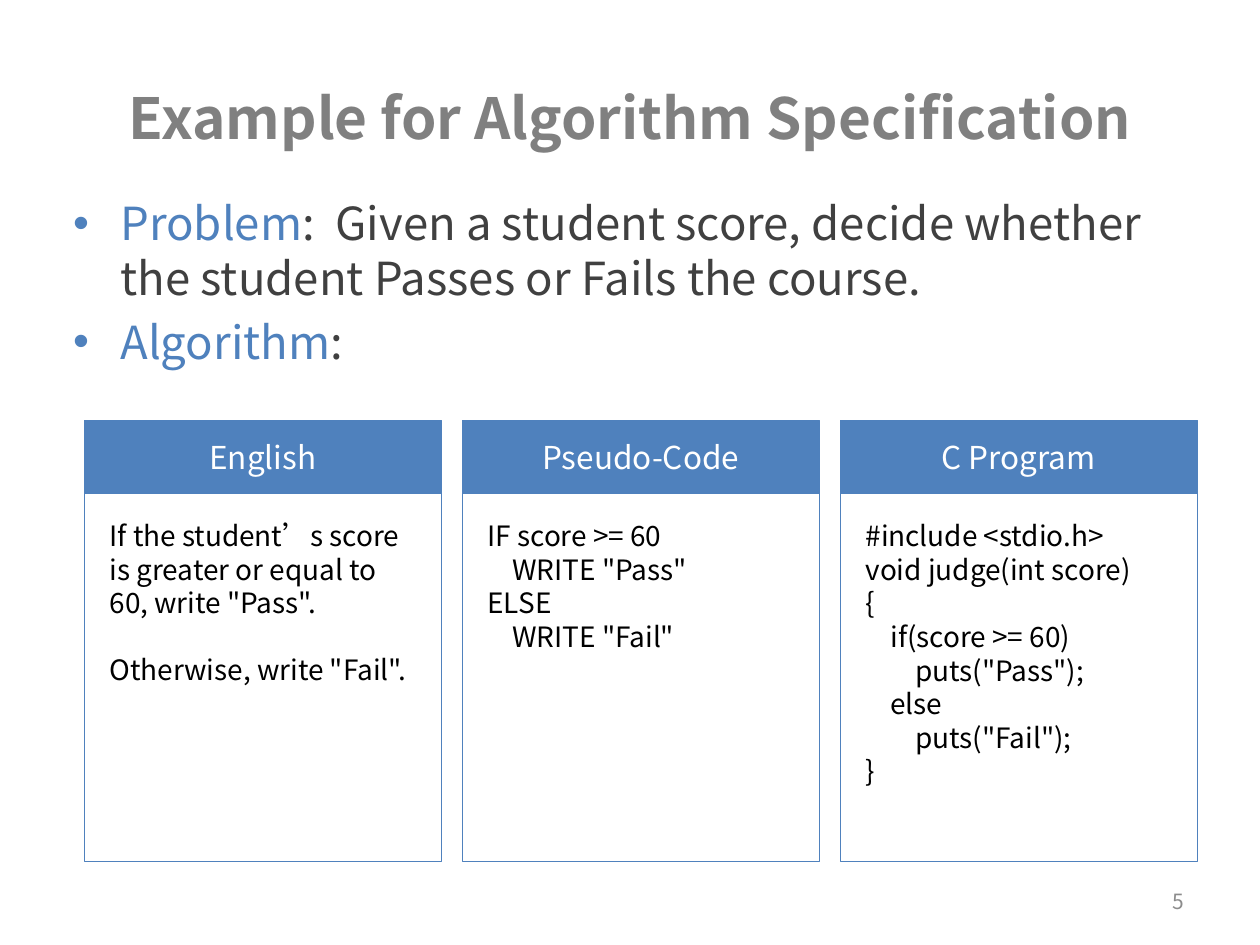
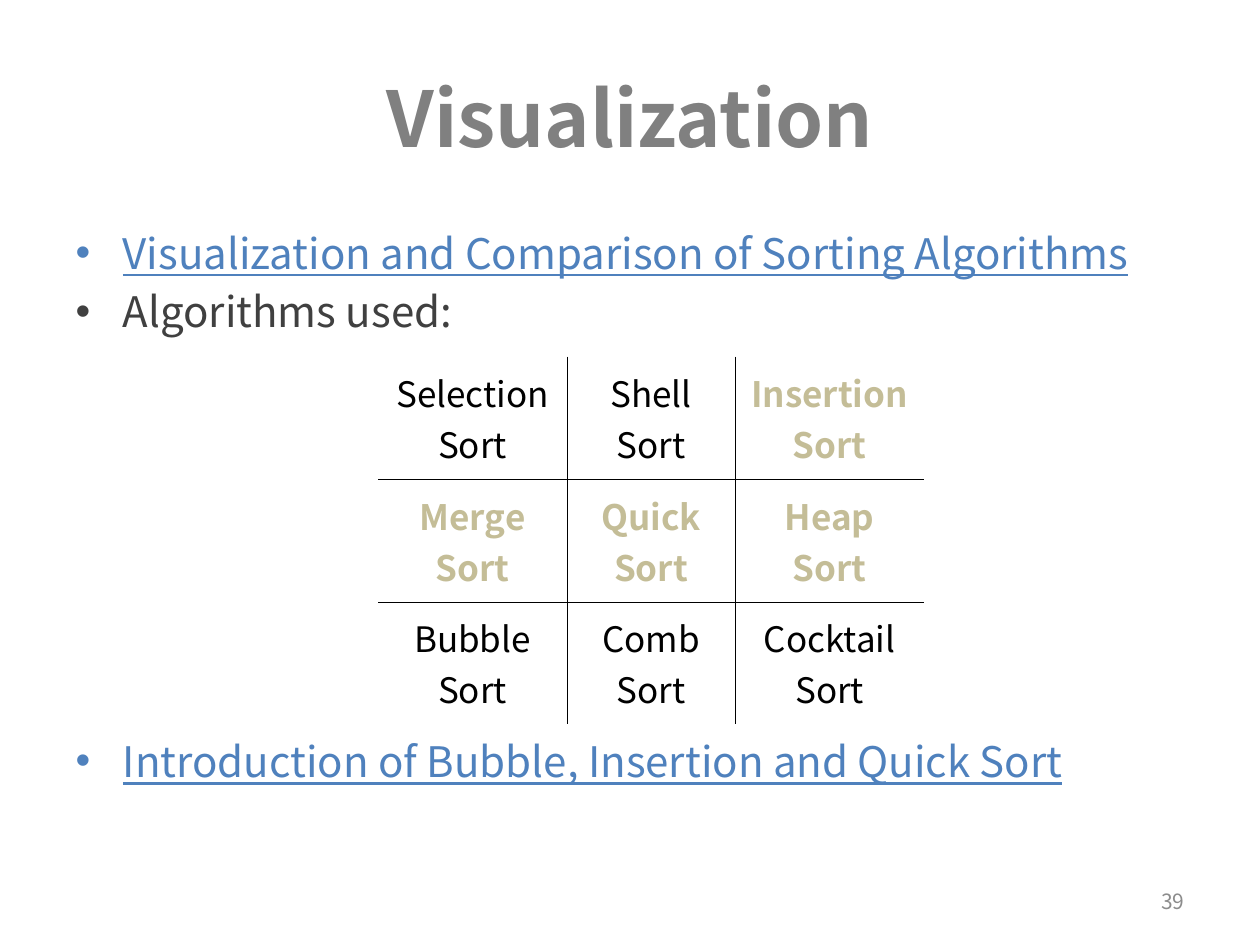
"""Build two slides on algorithm specification and sorting visualization."""
import pptx
import pptx.dml.color
import pptx.enum.shapes
import pptx.enum.text
import pptx.oxml
import pptx.oxml.ns
import pptx.util
from pptx.util import Cm

FONT = "Noto Sans CJK SC"
BLUE, GREY, DARK, TAN = "4F81BD", "808080", "404040", "C4BD97"
BLACK, WHITE, NUMBER = "000000", "FFFFFF", "8C8C8C"
NO_STYLE = "{2D5ABB26-0587-4C30-8999-92F81FD0307C}"
ALIGN = pptx.enum.text.PP_ALIGN
MIDDLE = pptx.enum.text.MSO_ANCHOR.MIDDLE

SPECIFICATION = {
    "title": "Example for Algorithm Specification", "title_size": 32.4, "number": "5",
    "place": (1.22, 3.81, 22.86, 4.24), "size": 26,
    "bullets": [
        {"spans": [("Problem", BLUE),
                   (":  Given a student score, decide whether the student Passes or Fails the course.",
                    DARK)]},
        {"spans": [("Algorithm", BLUE), (":", DARK)]},
    ],
}
VISUALIZATION = {
    "title": "Visualization", "title_size": 44, "number": "39",
    "place": (1.27, 4.45, 22.86, 12.57), "size": 24,
    "bullets": [
        {"spans": [("Visualization and Comparison of Sorting Algorithms", BLUE)], "underline": True},
        {"spans": [("Algorithms used:", DARK)]},
        {"spans": [("Introduction of Bubble, Insertion and Quick Sort", BLUE)],
         "underline": True, "before": 228},
    ],
}
PANELS = [
    ("English", [{"text": "If the student’s score is greater or equal to 60, write \"Pass\"."},
                 {"text": "Otherwise, write \"Fail\".", "before": 19}]),
    ("Pseudo-Code", [{"text": "IF score >= 60"}, {"text": "WRITE \"Pass\"", "level": 1},
                     {"text": "ELSE"}, {"text": "WRITE \"Fail\"", "level": 1}]),
    ("C Program", [{"text": "#include <stdio.h>"}, {"text": "void judge(int score)"},
                   {"text": "{"}, {"text": "if(score >= 60)", "level": 1},
                   {"text": "puts(\"Pass\");", "level": 2}, {"text": "else", "level": 1},
                   {"text": "puts(\"Fail\");", "level": 2}, {"text": "}"}]),
]
SORTS = [["Selection", "Shell", "Insertion"],
         ["Merge", "Quick", "Heap"],
         ["Bubble", "Comb", "Cocktail"]]
HIGHLIGHTED = {"Insertion", "Merge", "Quick", "Heap"}
COLUMN_WIDTHS = [3.81, 3.39, 3.81]
ROW_HEIGHT = 2.47


def colour(value):
    return pptx.dml.color.RGBColor.from_string(value)


def write(para, text, size=16, color=BLACK, bold=False, underline=False,
          align=None, before=None, level=0):
    span = para.add_run()
    span.text = text
    font = span.font
    font.name, font.size = FONT, pptx.util.Pt(size)
    font.bold, font.underline = bold, underline
    font.color.rgb = colour(color)
    east_asian = pptx.oxml.parse_xml(f'<a:ea {pptx.oxml.ns.nsdecls("a")} typeface="{FONT}"/>')
    font._element.find(pptx.oxml.ns.qn("a:latin")).addnext(east_asian)
    if align is not None:
        para.alignment = align
    if before:
        para.space_before = pptx.util.Pt(before)
    if level:
        para._p.get_or_add_pPr().set("marL", str(Cm(0.5 * level)))


def paragraphs(frame, count):
    return [frame.paragraphs[0]] + [frame.add_paragraph() for _ in range(count - 1)]


def place(shape, left, top, width, height):
    shape.left, shape.top, shape.width, shape.height = map(Cm, (left, top, width, height))
    shape.text_frame.word_wrap = True
    shape.text_frame.auto_size = pptx.enum.text.MSO_AUTO_SIZE.NONE
    return shape.text_frame


def add_page(deck, content):
    page = deck.slides.add_slide(deck.slide_layouts[1])
    frame = place(page.shapes.title, 1.27, 0.76, 22.86, 3.18)
    frame.vertical_anchor = MIDDLE
    write(frame.paragraphs[0], content["title"], size=content["title_size"],
          color=GREY, bold=True, align=ALIGN.CENTER)
    frame = place(page.placeholders[1], *content["place"])
    bullets = content["bullets"]
    for para, bullet in zip(paragraphs(frame, len(bullets)), bullets):
        for text, color in bullet["spans"]:
            write(para, text, size=content["size"], color=color,
                  underline=bullet.get("underline", False), before=bullet.get("before"))
    frame = place(page.shapes.add_textbox(0, 0, 0, 0), 18.21, 17.65, 5.92, 1.02)
    frame.vertical_anchor = MIDDLE
    write(frame.paragraphs[0], content["number"], size=12, color=NUMBER, align=ALIGN.RIGHT)
    return page


def add_box(group, left, top, width, height, fill):
    box = group.shapes.add_shape(pptx.enum.shapes.MSO_SHAPE.RECTANGLE, 0, 0, 0, 0)
    box.shadow.inherit = False
    box.fill.solid()
    box.fill.fore_color.rgb = colour(fill)
    box.line.color.rgb = colour(BLUE)
    box.line.width = pptx.util.Pt(0.25)
    return place(box, left, top, width, height)


def add_panel(page, left, heading, lines):
    group = page.shapes.add_group_shape()
    frame = add_box(group, left, 9.95, 7.2, 7.41, WHITE)
    frame.margin_left = frame.margin_right = frame.margin_top = frame.margin_bottom = Cm(0.51)
    frame.vertical_anchor = pptx.enum.text.MSO_ANCHOR.TOP
    for para, line in zip(paragraphs(frame, len(lines)), lines):
        write(para, align=ALIGN.LEFT, **line)
    frame = add_box(group, left, 8.47, 7.2, 1.48, BLUE)
    frame.vertical_anchor = MIDDLE
    write(frame.paragraphs[0], heading, size=18, color=WHITE, align=ALIGN.CENTER)


def set_borders(cell, sides):
    properties = cell._tc.get_or_add_tcPr()
    for index, side in enumerate(sides):
        properties.insert(index, pptx.oxml.parse_xml(
            f'<a:ln{side} {pptx.oxml.ns.nsdecls("a")} w="3175"><a:solidFill>'
            f'<a:srgbClr val="{BLACK}"/></a:solidFill></a:ln{side}>'))


def add_sort_table(page):
    count = len(SORTS)
    frame = page.shapes.add_table(count, count, Cm(7.62), Cm(7.19),
                                  Cm(sum(COLUMN_WIDTHS)), Cm(ROW_HEIGHT * count))
    table = frame.table
    table.first_row = table.horz_banding = False
    table._tbl.tblPr.find(pptx.oxml.ns.qn("a:tableStyleId")).text = NO_STYLE
    for column, width in zip(table.columns, COLUMN_WIDTHS):
        column.width = Cm(width)
    for row_index, names in enumerate(SORTS):
        table.rows[row_index].height = Cm(ROW_HEIGHT)
        for column_index, name in enumerate(names):
            cell = table.cell(row_index, column_index)
            cell.fill.background()
            cell.vertical_anchor = MIDDLE
            marked = name in HIGHLIGHTED
            write(cell.text_frame.paragraphs[0], f"{name} Sort", size=20, bold=marked,
                  color=TAN if marked else BLACK, align=ALIGN.CENTER)
            inner = {"L": column_index > 0, "R": column_index < count - 1,
                     "T": row_index > 0, "B": row_index < count - 1}
            set_borders(cell, [side for side, shown in inner.items() if shown])


def main():
    deck = pptx.Presentation()
    deck.slide_width, deck.slide_height = Cm(25.4), Cm(19.05)
    page = add_page(deck, SPECIFICATION)
    for index, (heading, lines) in enumerate(PANELS):
        add_panel(page, 1.7 + 7.62 * index, heading, lines)
    add_sort_table(add_page(deck, VISUALIZATION))
    deck.save("out.pptx")


if __name__ == "__main__":
    main()
